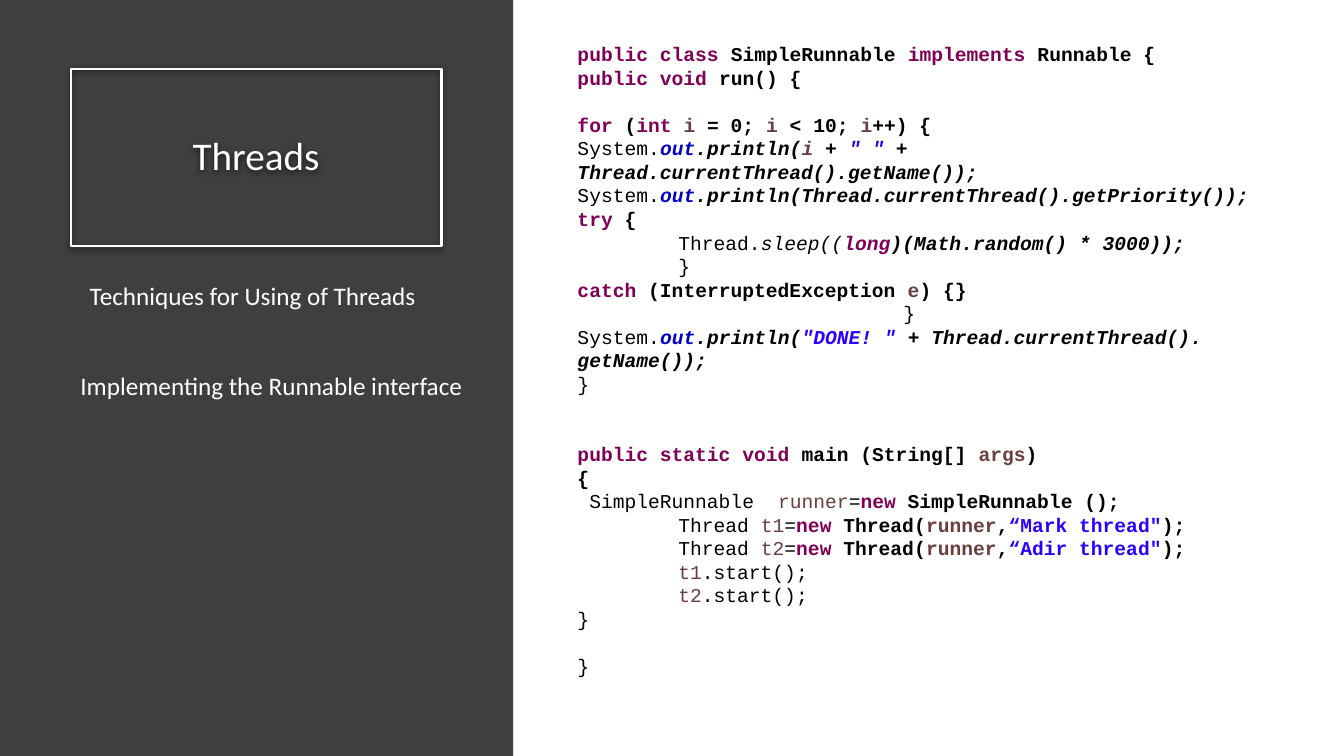
from lxml import etree
from pptx import Presentation
from pptx.dml.color import RGBColor
from pptx.enum.shapes import MSO_SHAPE
from pptx.enum.text import MSO_ANCHOR, PP_ALIGN
from pptx.oxml.ns import qn
from pptx.util import Pt

RECT = MSO_SHAPE.RECTANGLE
MIDDLE = MSO_ANCHOR.MIDDLE
CENTER = PP_ALIGN.CENTER

COLORS = {"panel": "3F3F3F", "white": "FFFFFF", "shadow": "000000",
          "text": "000000", "keyword": "7F0055", "variable": "6A3E3E",
          "field": "0000C0", "string": "2A00FF"}

# Code styles: name -> (colour, bold, italic)
STYLES = {
    "plain": ("text", False, False), "bold": ("text", True, False),
    "call": ("text", True, True), "static": ("text", False, True),
    "key": ("keyword", True, False), "key_i": ("keyword", True, True),
    "var": ("variable", False, False), "var_b": ("variable", True, False),
    "var_i": ("variable", True, True), "field": ("field", True, True),
    "str": ("string", True, False), "str_i": ("string", True, True),
}

TITLE = "Threads"
# Side notes: text, left, top, width, height, line spacing
NOTES = [
    ("Techniques for Using of Threads", 57, 196.5, 250, 29, 1.0),
    ("Implementing the Runnable interface", 50.4, 250.5, 291, 37, 1.5),
]


def start_thread(name, label):
    return (0, 72, [("Thread ", "plain"), (name, "var"), ("=", "plain"),
                    ("new", "key"), (" Thread(", "bold"), ("runner", "var_b"),
                    (",", "bold"), (label, "str"), (");", "bold")])


# Code lines: empty lines above, indent, runs
CODE = [
    (0, 0, [("public class", "key"), (" SimpleRunnable ", "bold"),
            ("implements", "key"), (" Runnable {", "bold")]),
    (0, 0, [("public void", "key"), (" run() {", "bold")]),
    (1, 0, [("for", "key"), (" (", "bold"), ("int ", "key"), ("i", "var_b"),
            (" = 0; ", "bold"), ("i", "var_b"), (" < 10; ", "bold"),
            ("i", "var_b"), ("++) {", "bold")]),
    (0, 0, [("System.", "plain"), ("out", "field"), (".println(", "call"),
            ("i", "var_i"), (" + ", "call"), ('" "', "str_i"),
            (" + Thread.currentThread().getName());", "call")]),
    (0, 0, [("System.", "plain"), ("out", "field"),
            (".println(Thread.currentThread().getPriority());", "call")]),
    (0, 0, [("try", "key"), (" {", "bold")]),
    (0, 72, [("Thread.", "plain"), ("sleep((", "static"), ("long", "key_i"),
             (")(Math.random() * 3000));", "call")]),
    (0, 72, [("}", "plain")]),
    (0, 0, [("catch", "key"), (" (InterruptedException ", "bold"),
            ("e", "var_b"), (") {}", "bold")]),
    (0, 232.8, [("}", "plain")]),
    (0, 0, [("System.", "plain"), ("out", "field"), (".println(", "call"),
            ('"DONE! "', "str_i"),
            (" + Thread.currentThread(). getName());", "call")]),
    (0, 0, [("}", "plain")]),
    (2, 0, [("public static void", "key"), (" main (String[] ", "bold"),
            ("args", "var_b"), (")", "bold")]),
    (0, 0, [("{", "bold")]),
    (0, 0, [(" SimpleRunnable  ", "plain"), ("runner", "var"), ("=", "plain"),
            ("new", "key"), (" SimpleRunnable ();", "bold")]),
    start_thread("t1", "“Mark thread\""),
    start_thread("t2", "“Adir thread\""),
    (0, 72, [("t1", "var"), (".start();", "plain")]),
    (0, 72, [("t2", "var"), (".start();", "plain")]),
    (0, 0, [("}", "plain")]),
    (1, 0, [("}", "plain")]),
]
CODE_LINE = 16.8  # height of one empty code line


def rgb(name):
    return RGBColor.from_string(COLORS[name])


def style_run(r, font, size, color, bold=False, italic=False):
    r.font.name, r.font.size = font, Pt(size)
    r.font.bold, r.font.italic = bold, italic
    r.font.color.rgb = rgb(color)


def add_shadow(sp):
    effects = etree.SubElement(sp.element.spPr, qn("a:effectLst"))
    shadow = etree.SubElement(effects, qn("a:outerShdw"), blurRad=str(Pt(4.5)),
                              dist=str(Pt(1.5)), dir="5400000", rotWithShape="0")
    color = etree.SubElement(shadow, qn("a:srgbClr"), val=COLORS["shadow"])
    etree.SubElement(color, qn("a:alpha"), val="63000")


prs = Presentation()
prs.slide_width, prs.slide_height = Pt(960), Pt(540)
s = prs.slides.add_slide(prs.slide_layouts[5])
title = s.shapes.title

# Dark side panel, behind the title
panel = s.shapes.add_shape(RECT, 0, 0, Pt(366.5), prs.slide_height)
panel.shadow.inherit = False
panel.fill.solid()
panel.fill.fore_color.rgb = rgb("panel")
panel.line.fill.background()
title.element.addprevious(panel.element)

# Framed title
title.left, title.top, title.width, title.height = Pt(50.4), Pt(49), Pt(265), Pt(126.7)
title.line.color.rgb = rgb("white")
title.line.width = Pt(1.5)
add_shadow(title)
tf = title.text_frame
tf.text = TITLE
tf.vertical_anchor = MIDDLE
p = tf.paragraphs[0]
p.alignment, p.line_spacing = CENTER, 0.9
style_run(p.runs[0], "Calibri", 28, "white")

# Side notes
for text, left, top, width, height, spacing in NOTES:
    tf = s.shapes.add_textbox(Pt(left), Pt(top), Pt(width), Pt(height)).text_frame
    tf.word_wrap = False
    tf.text = text
    p = tf.paragraphs[0]
    p.line_spacing = spacing
    style_run(p.runs[0], "Calibri", 18, "white")

# Code listing
tf = s.shapes.add_textbox(Pt(405.4), Pt(26.6), Pt(525), Pt(448.6)).text_frame
tf.word_wrap = True
for n, (empty_lines, indent, runs) in enumerate(CODE):
    p = tf.add_paragraph() if n else tf.paragraphs[0]
    p.space_before = Pt(empty_lines * CODE_LINE)
    if indent:
        p._p.get_or_add_pPr().set("marL", str(Pt(indent)))
    for text, style in runs:
        r = p.add_run()
        r.text = text
        style_run(r, "Courier New", 14, *STYLES[style])

prs.save("out.pptx")
